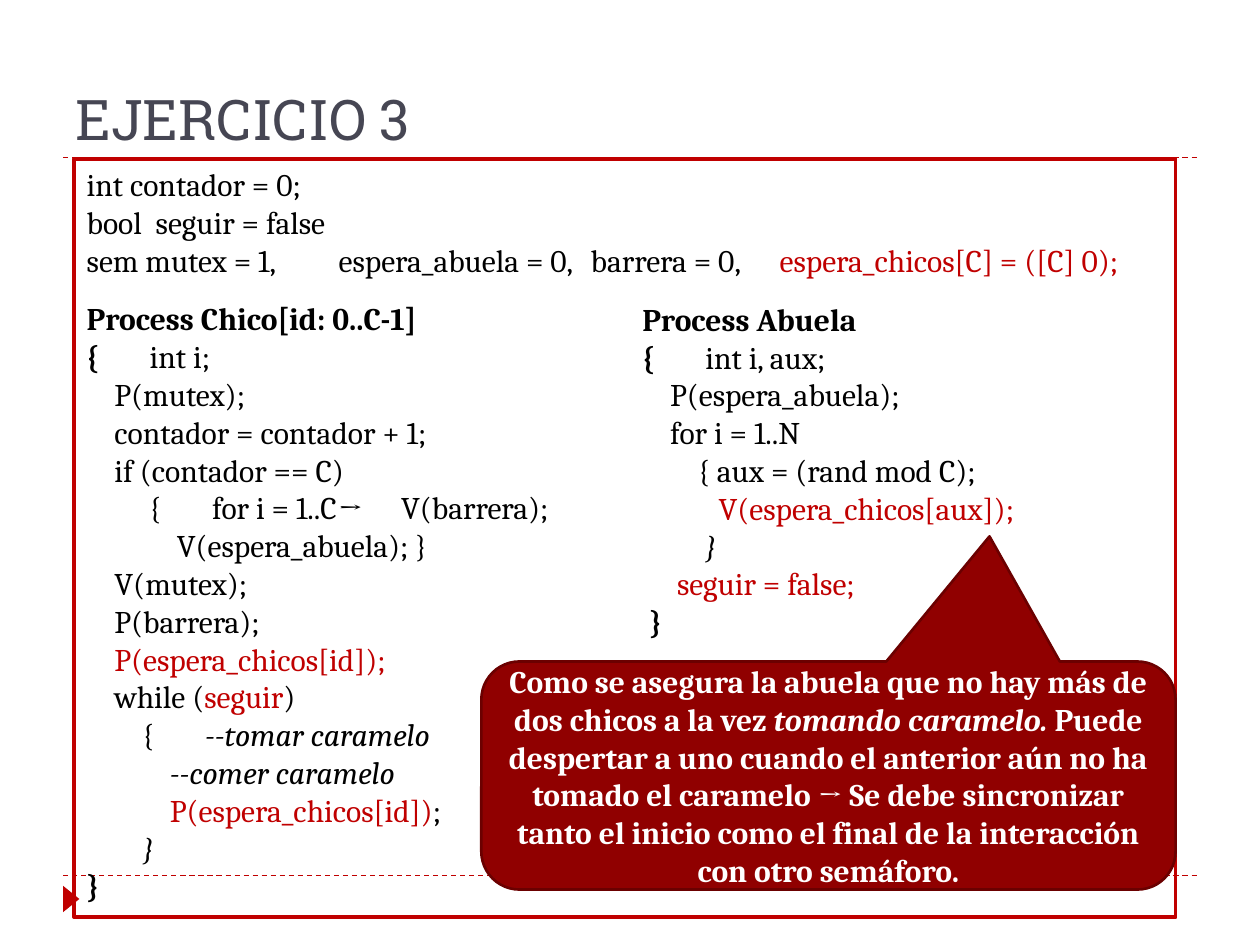
from pptx import Presentation
from pptx.dml.color import RGBColor
from pptx.enum.dml import MSO_LINE
from pptx.enum.shapes import MSO_CONNECTOR, MSO_SHAPE
from pptx.enum.text import MSO_ANCHOR, PP_ALIGN
from pptx.oxml.ns import qn
from pptx.util import Inches, Pt
from lxml.etree import SubElement

COLOURS = {"red": "C00000", "title": "464653", "black": "000000",
           "white": "FFFFFF", "note": "900000", "note_edge": "6B0000"}
CODE_FONT = "Cambria"
INDENT = 0.055  # inches for one column of code indent

# A code line: indent columns, spans of (text, style), tab stops in inches.
# Styles: b = bold, i = italic, r = red.
DECLARATIONS = [
    (0, [("int contador = 0;", "")], []),
    (0, [("bool  seguir = false", "")], []),
    (0, [("sem mutex = 1,\tespera_abuela = 0,\tbarrera = 0,\t", ""),
         ("espera_chicos[C] = ([C] 0);", "r")], [1.71, 3.79, 5.3]),
]
CHILD = [
    (0, [("Process Chico[id: 0..C-1]", "b")], []),
    (0, [("{\t", "b"), ("int i;", "")], [0.26]),
    (4, [("P(mutex);", "")], []),
    (4, [("contador = contador + 1;", "")], []),
    (4, [("if (contador == C)", "")], []),
    (9, [("{\tfor i = 1..C\t→\tV(barrera);", "")], [0.7, 1.8, 2.16]),
    (13, [("V(espera_abuela); }", "")], []),
    (4, [("V(mutex);", "")], []),
    (4, [("P(barrera);", "")], []),
    (4, [("P(espera_chicos[id]);", "r")], []),
    (4, [("while (", ""), ("seguir", "r"), (")", "")], []),
    (8, [("{\t", ""), ("--tomar caramelo", "i")], [0.65]),
    (12, [("--comer caramelo", "i")], []),
    (12, [("P(espera_chicos[id])", "r"), (";", "")], []),
    (8, [("}", "i")], []),
    (0, [("}", "b")], []),
]
GRANDMOTHER = [
    (0, [("Process Abuela", "b")], []),
    (0, [("{\t", "b"), ("int i, aux;", "")], [0.21]),
    (4, [("P(espera_abuela);", "")], []),
    (4, [("for i = 1..N", "")], []),
    (8, [("{ aux = (rand mod C);", "")], []),
    (11, [("V(espera_chicos[aux]);", "r")], []),
    (9, [("}", "i")], []),
    (5, [("seguir = false;", "r")], []),
    (1, [("}", "b")], []),
]
NOTE = [
    ("Como se asegura la abuela que no hay más de dos chicos a la vez ", False),
    ("tomando caramelo. ", True),
    ("Puede despertar a uno cuando el anterior aún no ha tomado el caramelo → "
     "Se debe sincronizar tanto el inicio como el final de la interacción "
     "con otro semáforo.", False),
]


def colour(name):
    return RGBColor.from_string(COLOURS[name])


def set_font(font, name, size, tint, bold=False):
    font.name, font.size, font.bold = name, Pt(size), bold
    font.color.rgb = colour(tint)


def add_box(page, kind, box, fill=None, line=None, width=1):
    shape = page.shapes.add_shape(kind, *map(Inches, box))
    shape.shadow.inherit = False
    if fill:
        shape.fill.solid()
        shape.fill.fore_color.rgb = colour(fill)
    else:
        shape.fill.background()
    if line:
        shape.line.color.rgb = colour(line)
        shape.line.width = Pt(width)
    else:
        shape.line.fill.background()
    return shape


def set_indent(para, columns, stops):
    props = para._p.get_or_add_pPr()
    props.set("marL", str(Inches(columns * INDENT)))
    props.set("indent", "0")
    if stops:
        tabs = SubElement(props, qn("a:tabLst"))
        for stop in stops:
            SubElement(tabs, qn("a:tab"), pos=str(Inches(stop)), algn="l")


def write_code(frame, blocks):
    """Write blocks of code lines, with a gap before each later block."""
    frame.word_wrap = True
    frame.vertical_anchor = MSO_ANCHOR.TOP
    para = None
    for block in blocks:
        for number, (columns, spans, stops) in enumerate(block):
            new_block = para is not None and number == 0
            para = frame.add_paragraph() if para else frame.paragraphs[0]
            para.alignment = PP_ALIGN.LEFT
            if new_block:
                para.space_before = Pt(12)
            set_indent(para, columns, stops)
            set_font(para.font, CODE_FONT, 18, "black")
            for text, style in spans:
                span = para.add_run()
                span.text = text
                set_font(span.font, CODE_FONT, 18,
                         "red" if "r" in style else "black", "b" in style)
                span.font.italic = "i" in style


def add_theme(page, left, right):
    # Dashed rules and corner marker
    for y in (6.95, 1.25):
        rule = page.shapes.add_connector(
            MSO_CONNECTOR.STRAIGHT, Inches(left), Inches(y), Inches(right), Inches(y))
        rule.line.color.rgb = colour("red")
        rule.line.width = Pt(0.75)
        rule.line.dash_style = MSO_LINE.DASH
        SubElement(rule._element.spPr, qn("a:effectLst"))
    marker = add_box(page, MSO_SHAPE.ISOSCELES_TRIANGLE,
                     (left - 0.04, 7.07, 0.21, 0.13), "red")
    marker.rotation = 90


def add_title(page, box, text):
    frame = page.shapes.add_textbox(*map(Inches, box)).text_frame
    frame.word_wrap = True
    frame.vertical_anchor = MSO_ANCHOR.BOTTOM
    para = frame.paragraphs[0]
    para.text = text
    set_font(para.font, "Roboto Slab", 32, "title")


def add_code(page, box):
    # Framed listing, with the second process in its right half
    left, top, width, height = box
    panel = add_box(page, MSO_SHAPE.RECTANGLE, box, line="red", width=2.25)
    write_code(panel.text_frame, [DECLARATIONS, CHILD])
    side = page.shapes.add_textbox(
        Inches(left + 4.41), Inches(top + 1.07), Inches(3.46), Inches(2.83))
    write_code(side.text_frame, [GRANDMOTHER])


def add_note(page, box):
    # Callout that points at the wake-up line
    note = add_box(page, MSO_SHAPE.ROUNDED_RECTANGULAR_CALLOUT, box,
                   "note", "note_edge", 1.5)
    for index, value in enumerate((0.232, -1.049, 0.167)):
        note.adjustments[index] = value
    frame = note.text_frame
    frame.word_wrap = True
    frame.vertical_anchor = MSO_ANCHOR.MIDDLE
    para = frame.paragraphs[0]
    para.alignment = PP_ALIGN.CENTER
    set_font(para.font, CODE_FONT, 18, "white", True)
    for text, italic in NOTE:
        span = para.add_run()
        span.text = text
        span.font.italic = italic


deck = Presentation()
deck.slide_width, deck.slide_height = Inches(10), Inches(7.5)
page = deck.slides.add_slide(deck.slide_layouts[6])
add_theme(page, 0.5, 9.5)
add_title(page, (0.5, 0.17, 9, 1.08), "EJERCICIO 3")
add_code(page, (0.59, 1.26, 8.74, 6.02))
add_note(page, (3.82, 5.25, 5.51, 1.81))
deck.save("out.pptx")
